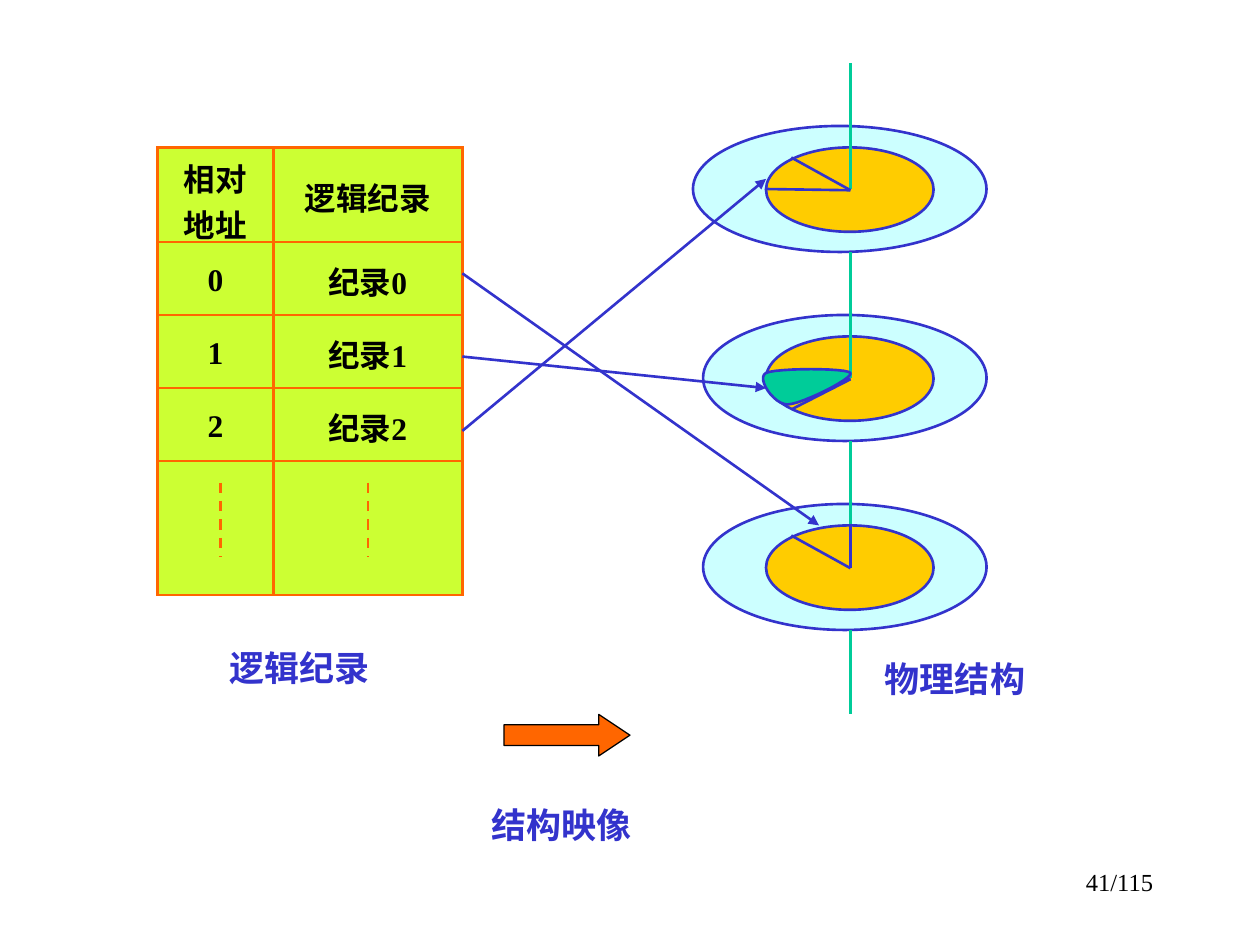
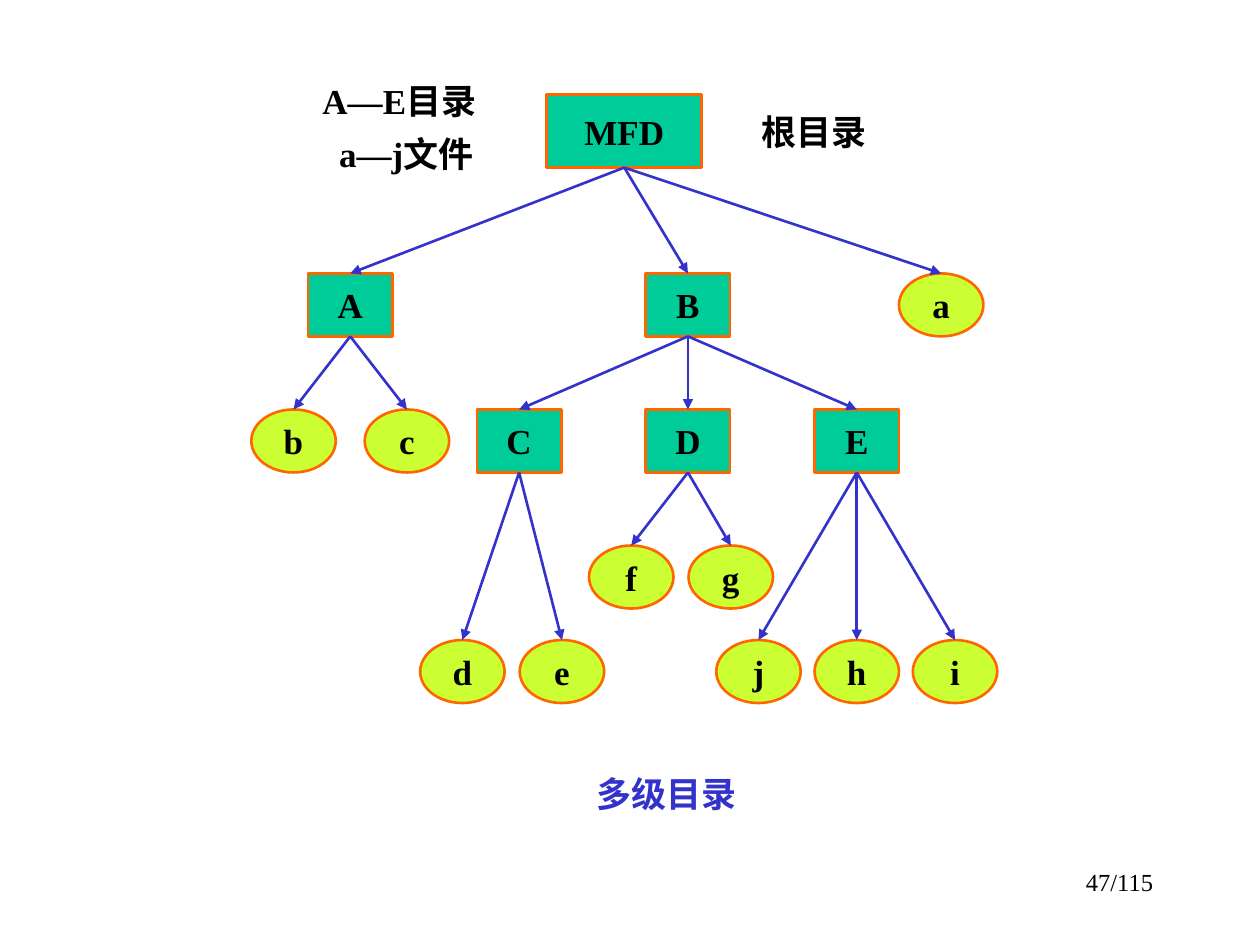
"""Build two slides: logical-to-physical record mapping and a multi-level directory tree."""
from lxml.etree import SubElement
from pptx import Presentation
from pptx.dml.color import RGBColor
from pptx.enum.dml import MSO_LINE
from pptx.enum.shapes import MSO_CONNECTOR, MSO_SHAPE
from pptx.enum.text import MSO_ANCHOR, PP_ALIGN
from pptx.oxml import parse_xml
from pptx.oxml.ns import nsdecls, qn
from pptx.util import Inches, Pt

COLORS = {
    "ink": "000000", "blue": "3333CC", "green": "00CC99", "lime": "CCFF33",
    "orange": "FF6600", "gold": "FFCC00", "ice": "CCFFFF",
}
FONT = "Times New Roman"
LINE_WIDTH = 1.5

RECORD_ROWS = [
    ("相对\n地址", "逻辑纪录"),
    ("0", "纪录0"),
    ("1", "纪录1"),
    ("2", "纪录2"),
    ("", ""),
]
RECORD_LEFT, RECORD_TOP = 1.25, 1.17
RECORD_WIDTHS = (0.92, 1.5)
RECORD_HEIGHTS = (0.75, 0.58, 0.58, 0.58, 1.06)
ELLIPSIS_XS = (1.75, 2.92)
RECORD_ARROWS = [
    ((3.67, 2.17), (6.5, 4.17)),
    ((3.67, 3.42), (6.08, 1.42)),
    ((3.67, 2.83), (6.08, 3.08)),
]

SPINDLE_X, PLATTER_RIGHT = 6.75, 7.83
DISKS = [
    {"left": 5.5, "top": 1, "sector": [(6.07, 0.5), (6.28, 0.25)]},
    {"left": 5.58, "top": 2.5, "sector": [(6.28, 0.75), (6.07, 0.5)]},
    {"left": 5.58, "top": 4, "sector": [(6.28, 0.25), (SPINDLE_X, 0.16)]},
]
SPINDLE_PARTS = [(0.5, 1.5), (2, 3), (3.5, 4.5), (5, 5.67)]
WEDGE_START = (6.75, 2.96)
WEDGE_CURVES = [
    ((6.72, 2.92), (6.17, 2.92), (6.08, 2.96)),
    ((6.0, 3.0), (6.14, 3.21), (6.25, 3.21)),
    ((6.36, 3.21), (6.78, 3.0), (6.75, 2.96)),
]

MAPPING_LABELS = [
    ("逻辑纪录", (1.67, 5.08, 1.42, 0.44), "blue"),
    ("结构映像", (3.58, 6.33, 1.75, 0.44), "blue"),
    ("物理结构", (6.83, 5.17, 1.5, 0.44), "blue"),
]
TREE_LABELS = [
    ("A—E目录", (2.11, 0.58, 2.12, 0.44), "ink"),
    ("a—j文件", (2.22, 1, 2.01, 0.44), "ink"),
    ("根目录", (5.57, 0.83, 1.78, 0.44), "ink"),
    ("多级目录", (4.33, 6.08, 1.92, 0.44), "blue"),
]

ROOT, ROOT_BOX = "MFD", (4.34, 0.75, 1.23, 0.58)
NODE_WIDTH, NODE_HEIGHT = 0.67, 0.5
BRANCHES = [
    ("MFD", 2.17, {"A": 2.78, "B": 5.46, "a": 7.47}),
    ("A", 3.25, {"b": 2.33, "c": 3.23}),
    ("B", 3.25, {"C": 4.12, "D": 5.46, "E": 6.8}),
    ("C", 5.08, {"d": 3.67, "e": 4.46}),
    ("D", 4.33, {"f": 5.01, "g": 5.8}),
    ("E", 5.08, {"j": 6.02, "h": 6.8, "i": 7.58}),
]


def rgb(color):
    return RGBColor.from_string(COLORS[color])


def write_text(frame, text, size, color="ink", bold=True, align=PP_ALIGN.CENTER):
    frame.text = text
    for paragraph in frame.paragraphs:
        paragraph.alignment = align
        paragraph.font.color.rgb = rgb(color)
        for name, value in {"name": FONT, "size": Pt(size), "bold": bold}.items():
            setattr(paragraph.font, name, value)


def add_label(slide, text, box, color, size=20, **text_format):
    label = slide.shapes.add_textbox(*map(Inches, box))
    label.text_frame.word_wrap = True
    write_text(label.text_frame, text, size, color, **text_format)


def style_shape(shape, fill, line, width=LINE_WIDTH):
    shape.shadow.inherit = False
    shape.fill.solid()
    shape.fill.fore_color.rgb = rgb(fill)
    shape.line.color.rgb = rgb(line)
    shape.line.width = Pt(width)


def add_figure(slide, kind, box, fill, line, width=LINE_WIDTH):
    shape = slide.shapes.add_shape(kind, *map(Inches, box))
    style_shape(shape, fill, line, width)
    return shape


def add_line(slide, start, end, color="blue", arrow=False, dash=None):
    connector = slide.shapes.add_connector(
        MSO_CONNECTOR.STRAIGHT, *map(Inches, (*start, *end)))
    connector.line.color.rgb = rgb(color)
    connector.line.width = Pt(LINE_WIDTH)
    if dash:
        connector.line.dash_style = dash
    if arrow:
        SubElement(connector.line._get_or_add_ln(), qn("a:tailEnd"), type="triangle")
    SubElement(connector._element.spPr, qn("a:effectLst"))
    return connector


def new_slide(presentation, page, labels):
    slide = presentation.slides.add_slide(presentation.slide_layouts[6])
    add_label(slide, page, (7.17, 6.83, 2.08, 0.5), "ink", 14,
              bold=False, align=PP_ALIGN.RIGHT)
    for label in labels:
        add_label(slide, *label)
    return slide


def format_cell(cell, text):
    cell.fill.solid()
    cell.fill.fore_color.rgb = rgb("lime")
    formats = {"vertical_anchor": MSO_ANCHOR.MIDDLE,
               "margin_top": Inches(0.06), "margin_bottom": Inches(0.02)}
    for name, value in formats.items():
        setattr(cell, name, value)
    write_text(cell.text_frame, text, 18)
    properties = cell._tc.get_or_add_tcPr()
    for index, side in enumerate(("lnL", "lnR", "lnT", "lnB")):
        properties.insert(index, parse_xml(
            f'<a:{side} {nsdecls("a")} w="{Pt(LINE_WIDTH)}"><a:solidFill>'
            f'<a:srgbClr val="{COLORS["orange"]}"/></a:solidFill></a:{side}>'))


def add_record_table(slide):
    box = (RECORD_LEFT, RECORD_TOP, sum(RECORD_WIDTHS), sum(RECORD_HEIGHTS))
    table = slide.shapes.add_table(
        len(RECORD_ROWS), len(RECORD_WIDTHS), *map(Inches, box)).table
    table.first_row = table.horz_banding = False
    for column, width in zip(table.columns, RECORD_WIDTHS):
        column.width = Inches(width)
    for row, height, texts in zip(table.rows, RECORD_HEIGHTS, RECORD_ROWS):
        row.height = Inches(height)
        for cell, text in zip(row.cells, texts):
            format_cell(cell, text)
    for x in ELLIPSIS_XS:
        add_line(slide, (x, 3.83), (x, 4.42), "orange", dash=MSO_LINE.DASH)


def curve_points(start, curves, steps=12):
    points = []
    for first, second, end in curves:
        for step in range(1, steps + 1):
            t = step / steps
            weights = ((1 - t) ** 3, 3 * t * (1 - t) ** 2, 3 * t * t * (1 - t), t ** 3)
            corners = (start, first, second, end)
            points.append(tuple(
                Inches(sum(w * corner[axis] for w, corner in zip(weights, corners)))
                for axis in (0, 1)))
        start = end
    return points


def add_disk_stack(slide):
    for disk in DISKS:
        left, top = disk["left"], disk["top"]
        add_figure(slide, MSO_SHAPE.OVAL, (left, top, PLATTER_RIGHT - left, 1), "ice", "blue")
        add_figure(slide, MSO_SHAPE.OVAL, (6.08, top + 0.17, 1.33, 0.67), "gold", "blue")
    for top, bottom in SPINDLE_PARTS:
        add_line(slide, (SPINDLE_X, top), (SPINDLE_X, bottom), "green")
    for disk in DISKS:
        for x, drop in disk["sector"]:
            add_line(slide, (SPINDLE_X, disk["top"] + 0.51), (x, disk["top"] + drop))


def add_wedge(slide):
    builder = slide.shapes.build_freeform(*map(Inches, WEDGE_START), scale=1.0)
    builder.add_line_segments(curve_points(WEDGE_START, WEDGE_CURVES), close=True)
    style_shape(builder.convert_to_shape(), "green", "blue")


def build_mapping_slide(presentation):
    slide = new_slide(presentation, "41/115", MAPPING_LABELS)
    add_disk_stack(slide)
    add_record_table(slide)
    arrow = add_figure(slide, MSO_SHAPE.RIGHT_ARROW, (4, 5.67, 1, 0.33), "orange", "ink", 0.75)
    arrow.adjustments[1] = 0.75
    for start, end in RECORD_ARROWS:
        add_line(slide, start, end, arrow=True)
    add_wedge(slide)


def add_node(slide, name, box):
    kind, fill = ((MSO_SHAPE.RECTANGLE, "green") if name.isupper()
                  else (MSO_SHAPE.OVAL, "lime"))
    node = add_figure(slide, kind, box, fill, "orange")
    node.text_frame.word_wrap = False
    node.text_frame.vertical_anchor = MSO_ANCHOR.MIDDLE
    write_text(node.text_frame, name, 20)
    return node


def build_tree_slide(presentation):
    slide = new_slide(presentation, "47/115", TREE_LABELS)
    nodes = {ROOT: add_node(slide, ROOT, ROOT_BOX)}
    for parent, top, children in BRANCHES:
        for name, center in children.items():
            box = (center - NODE_WIDTH / 2, top, NODE_WIDTH, NODE_HEIGHT)
            nodes[name] = add_node(slide, name, box)
            branch = add_line(slide, (0, 0), (center, top), arrow=True)
            branch.begin_connect(nodes[parent], 2)
            branch.end_connect(nodes[name], 0)


def main():
    presentation = Presentation()
    presentation.slide_width = Inches(10)
    presentation.slide_height = Inches(7.5)
    build_mapping_slide(presentation)
    build_tree_slide(presentation)
    presentation.save("out.pptx")


if __name__ == "__main__":
    main()
